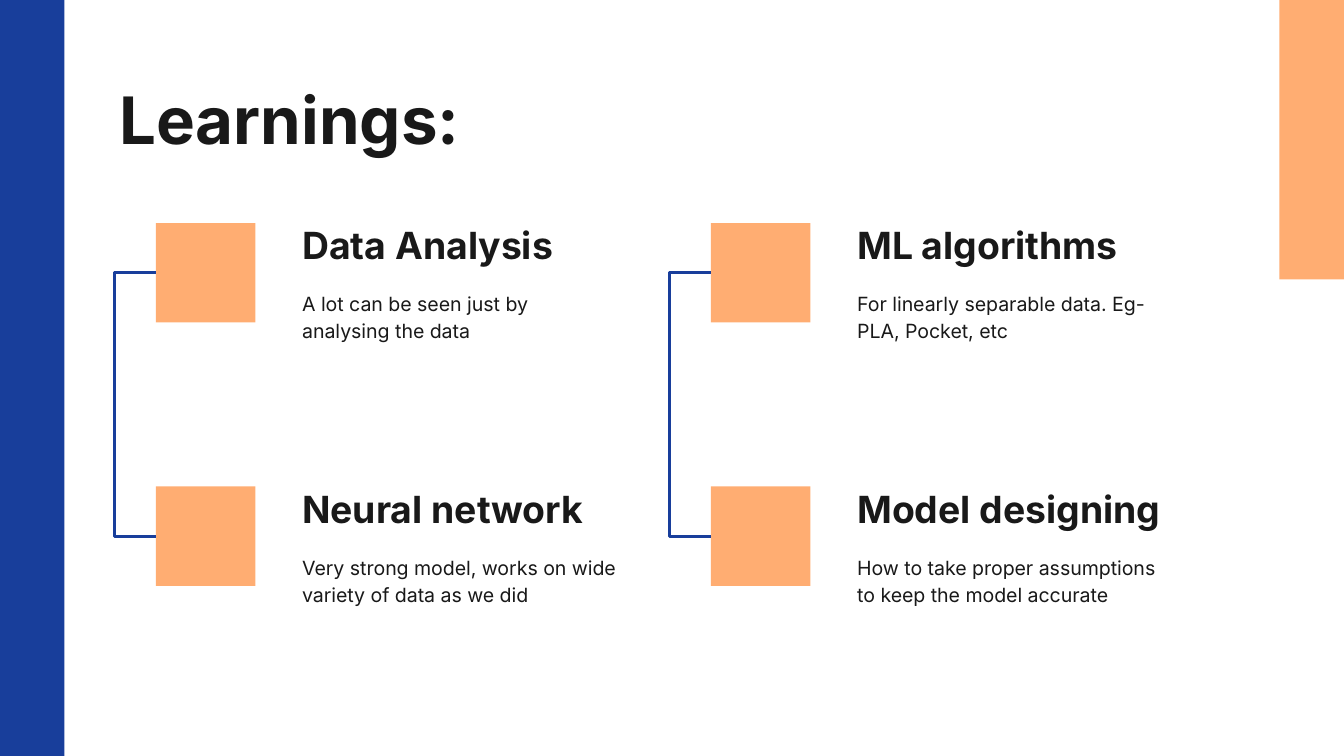
"""Build the slide of four learnings, paired by bracket connectors."""
from dataclasses import dataclass
from typing import Any

import pptx
import pptx.dml.color
import pptx.enum.shapes
import pptx.enum.text
import pptx.oxml
import pptx.oxml.ns
import pptx.util

Inches = pptx.util.Inches
Anchor = pptx.enum.text.MSO_ANCHOR


@dataclass(frozen=True)
class Theme:
    """Colours, font and type sizes."""
    blue: str = "183E9B"
    orange: str = "FFAD72"
    ink: str = "191919"
    paper: str = "FFFFFF"
    font: str = "Inter"
    title: float = 35
    heading: float = 20
    body: float = 10.5
    line: float = 1.5


@dataclass(frozen=True)
class Learning:
    """One learning and its cell in the grid."""
    col: int
    row: int
    heading: str
    body: str
    heading_w: float = 2.56
    body_w: float = 2.56


THEME = Theme()
SLIDE_W = 10
SLIDE_H = SLIDE_W * 9 / 16
LEFT, TOP, COL_STEP, ROW_STEP = 1.16, 1.66, 4.13, 1.96
SQUARE, TEXT_DX, REACH, SPAN = 0.74, 0.99, 0.26, 0.001
LEARNINGS = [
    Learning(0, 0, "Data Analysis", "A lot can be seen just by analysing the data"),
    Learning(1, 0, "ML algorithms", "For linearly separable data. Eg- PLA, Pocket, etc",
             body_w=2.67),
    Learning(0, 1, "Neural network",
             "Very strong model, works on wide variety of data as we did", heading_w=2.8),
    Learning(1, 1, "Model designing",
             "How to take proper assumptions to keep the model accurate"),
]


def rgb(value: str) -> pptx.dml.color.RGBColor:
    """Turn a hex string into a colour."""
    return pptx.dml.color.RGBColor.from_string(value)


def apply(target: Any, values: dict[str, Any]) -> None:
    """Set each named attribute on the target."""
    for name, value in values.items():
        setattr(target, name, value)


def add_block(s: Any, x: float, y: float, w: float, h: float, color: str) -> Any:
    """Draw a plain filled rectangle."""
    sp = s.shapes.add_shape(pptx.enum.shapes.MSO_SHAPE.RECTANGLE,
                            Inches(x), Inches(y), Inches(w), Inches(h))
    sp.shadow.inherit = False
    sp.fill.solid()
    sp.fill.fore_color.rgb = rgb(color)
    sp.line.fill.background()
    return sp


def add_text(s: Any, x: float, y: float, w: float, h: float, text: str, size: float,
             bold: bool = True, anchor: Any = Anchor.TOP, spacing: float = 1.0) -> None:
    """Write one paragraph in a wrapping text box."""
    tf = s.shapes.add_textbox(Inches(x), Inches(y), Inches(w), Inches(h)).text_frame
    margins = {f"margin_{side}": Inches(0.1) for side in ("left", "top", "right", "bottom")}
    apply(tf, {"word_wrap": True, "vertical_anchor": anchor, **margins})
    p = tf.paragraphs[0]
    p.line_spacing = spacing
    r = p.add_run()
    r.text = text
    apply(r.font, {"name": THEME.font, "size": pptx.util.Pt(size), "bold": bold})
    r.font.color.rgb = rgb(THEME.ink)


def add_learning(s: Any, item: Learning) -> Any:
    """Draw a learning and return its square."""
    x, y = LEFT + item.col * COL_STEP, TOP + item.row * ROW_STEP
    square = add_block(s, x, y, SQUARE, SQUARE, THEME.orange)
    add_text(s, x + TEXT_DX, y - 0.1, item.heading_w, 0.53, item.heading,
             THEME.heading, anchor=Anchor.BOTTOM)
    add_text(s, x + TEXT_DX, y + 0.39, item.body_w, 0.7, item.body,
             THEME.body, bold=False, spacing=1.15)
    return square


def add_bracket(s: Any, upper: Any, lower: Any) -> None:
    """Join the left sides of two squares with an elbow connector."""
    cxn = s.shapes.add_connector(pptx.enum.shapes.MSO_CONNECTOR.ELBOW,
                                 upper.left, upper.top, lower.left, lower.top)
    cxn.begin_connect(upper, 1)
    cxn.end_connect(lower, 1)
    cxn.width = Inches(SPAN)
    cxn.line.color.rgb = rgb(THEME.blue)
    cxn.line.width = pptx.util.Pt(THEME.line)
    sp_pr = cxn._element.spPr
    guides = sp_pr.find(pptx.oxml.ns.qn("a:prstGeom")).get_or_add_avLst()
    ns = pptx.oxml.ns.nsdecls("a")
    guides.append(pptx.oxml.parse_xml(
        f'<a:gd {ns} name="adj1" fmla="val {round(-REACH / SPAN * 100000)}"/>'))
    sp_pr.append(pptx.oxml.parse_xml(f"<a:effectLst {ns}/>"))


def main() -> None:
    """Build and save the slide."""
    prs = pptx.Presentation()
    apply(prs, {"slide_width": Inches(SLIDE_W), "slide_height": Inches(SLIDE_H)})
    s = prs.slides.add_slide(prs.slide_layouts[6])
    s.background.fill.solid()
    s.background.fill.fore_color.rgb = rgb(THEME.paper)
    add_block(s, 0, 0, 0.48, SLIDE_H, THEME.blue)
    add_block(s, 9.52, 0, 0.48, 2.08, THEME.orange)
    add_text(s, 0.79, 0.49, 8.43, 0.63, "Learnings:", THEME.title)
    squares = {(item.col, item.row): add_learning(s, item) for item in LEARNINGS}
    for col in range(2):
        add_bracket(s, squares[col, 0], squares[col, 1])
    prs.save("out.pptx")


if __name__ == "__main__":
    main()
